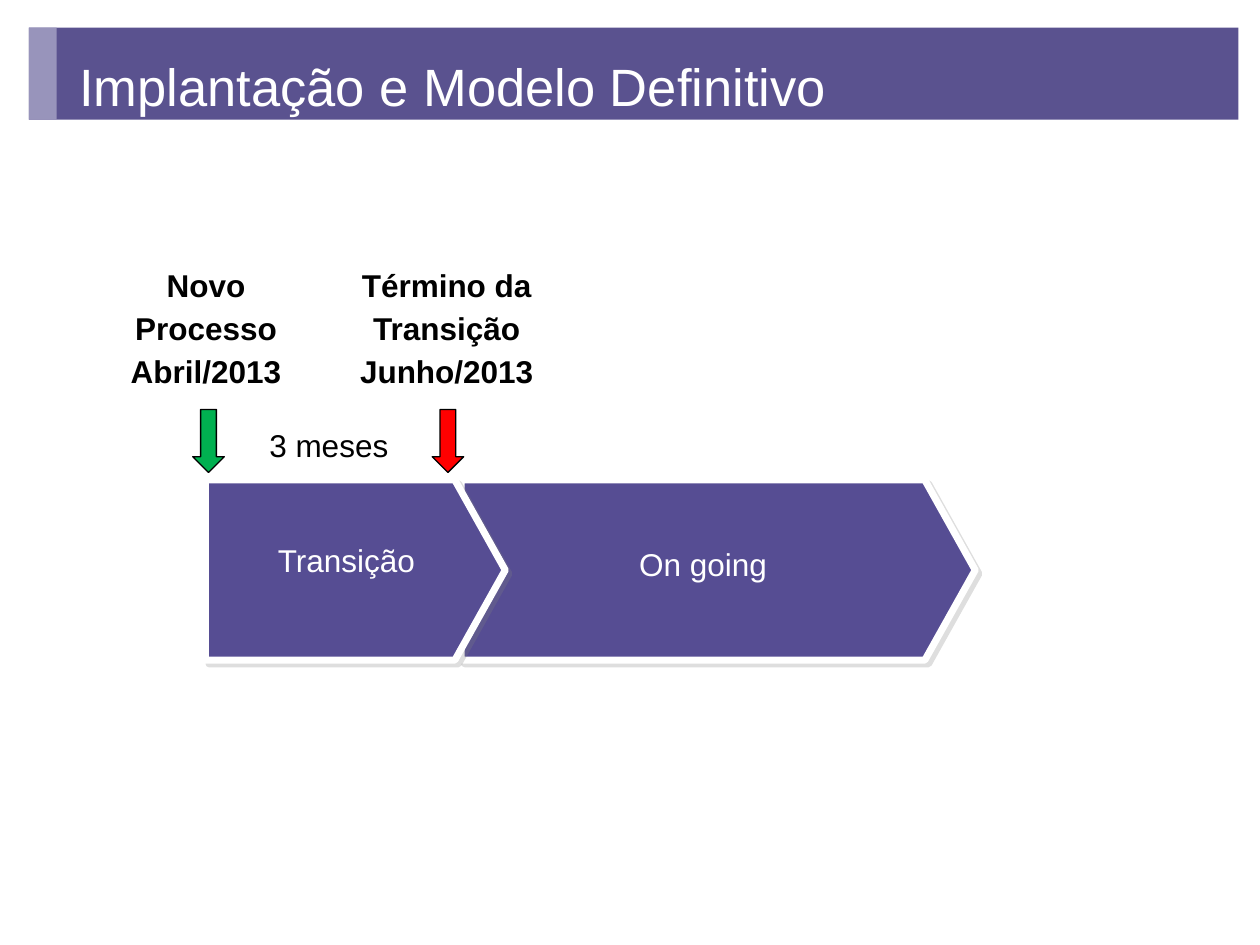
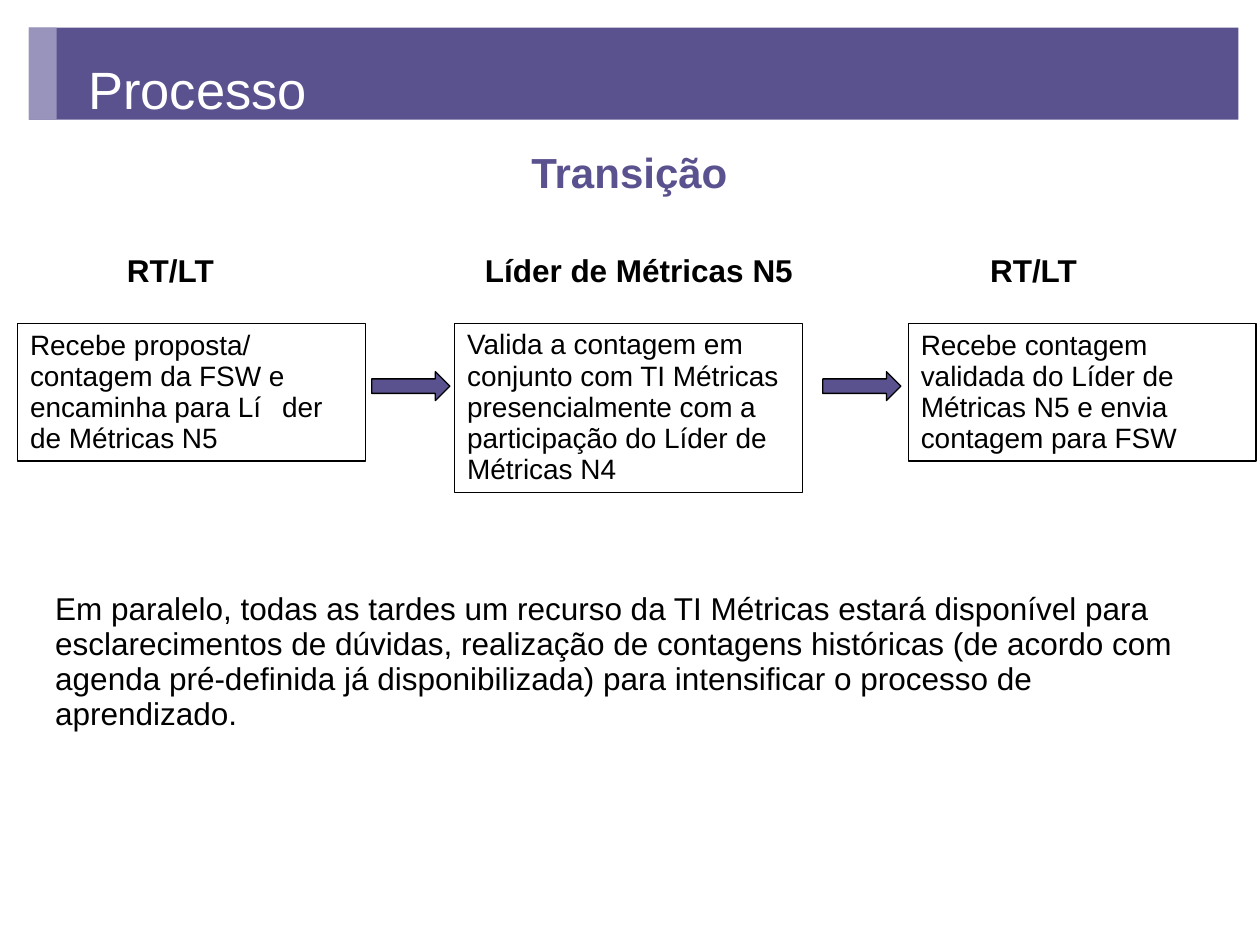
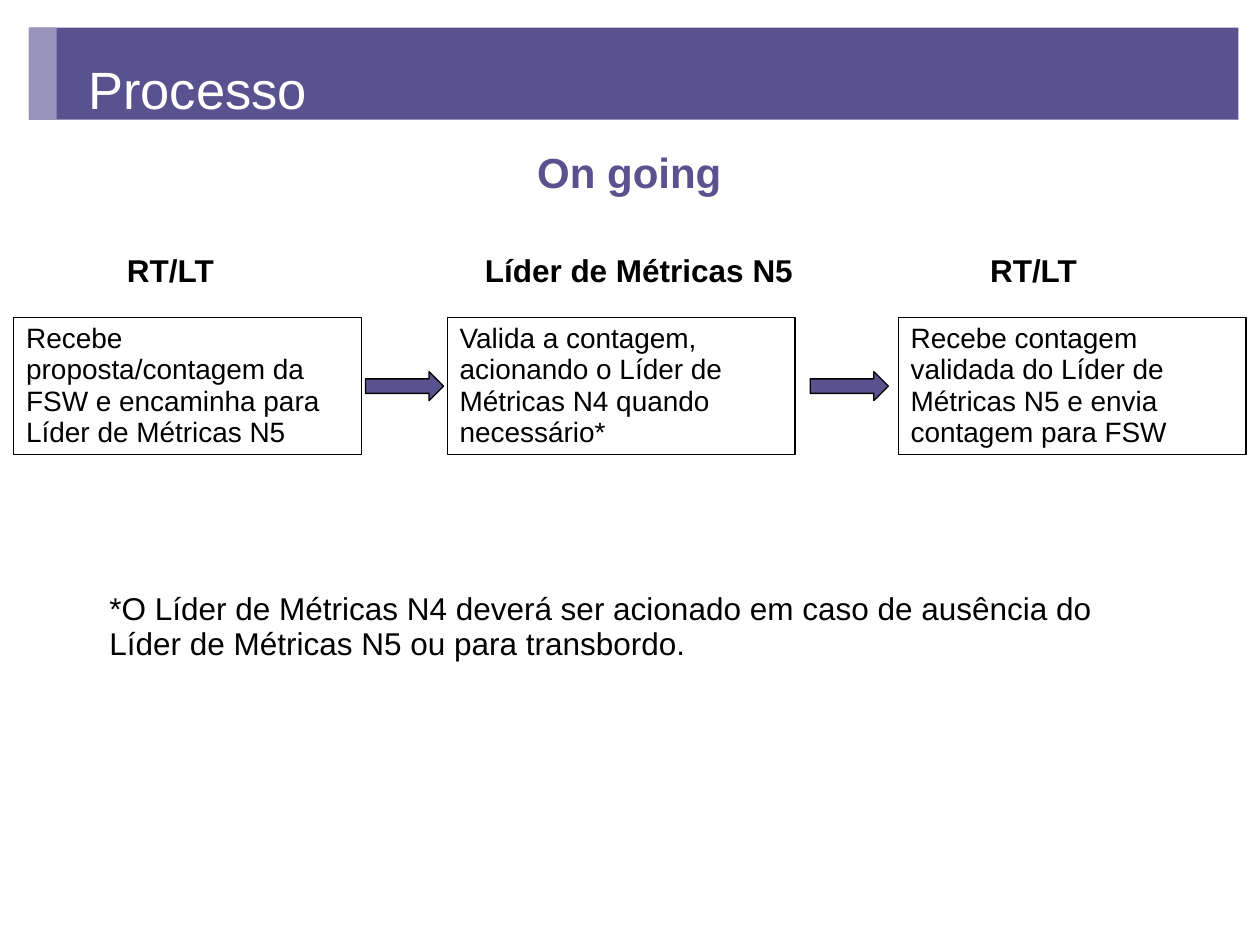
from lxml.etree import SubElement
from pptx import Presentation
from pptx.dml.color import RGBColor
from pptx.enum.shapes import MSO_SHAPE as Geo
from pptx.enum.text import MSO_ANCHOR as Anchor, MSO_AUTO_SIZE as Fit, PP_ALIGN as Align
from pptx.oxml.ns import qn
from pptx.util import Inches, Pt

FONT = "Arial"
PURPLE, LILAC, PLATE = "5A528F", "9894BB", "564D93"
WHITE, BLACK, RED, GREEN, GRAY = "FFFFFF", "000000", "FF0000", "00B050", "808080"
BAND = (0.23, 0.22, 9.6, 0.73)
ROLES = [(0.91, 0.93, "RT/LT"), (3.75, 2.74, "Líder de Métricas N5"), (7.76, 0.93, "RT/LT")]
CARD_W = 2.76


def rgb(code):
    """Turn a hex string into a colour."""
    return RGBColor.from_string(code)


def paint(shape, fill=None, line=None, width=0.75):
    """Set fill and line of a shape and drop its shadow."""
    shape.shadow.inherit = False
    if fill:
        shape.fill.solid()
        shape.fill.fore_color.rgb = rgb(fill)
    else:
        shape.fill.background()
    if line:
        shape.line.color.rgb = rgb(line)
        shape.line.width = Pt(width)
    else:
        shape.line.fill.background()


def write(shape, text, size, color=BLACK, bold=False, align=Align.LEFT, ratio=0.93):
    """Put styled text at the top of a shape."""
    frame = shape.text_frame
    frame.text = text
    frame.word_wrap = True
    frame.auto_size = Fit.NONE
    frame.vertical_anchor = Anchor.TOP
    for num, para in enumerate(frame.paragraphs):
        para.alignment = align
        para.line_spacing = ratio
        if num:
            para.space_before = Pt(4.5)
        if "\t" in para.text:
            tabs = SubElement(para._p.get_or_add_pPr(), qn("a:tabLst"))
            SubElement(tabs, qn("a:tab"), pos=str(Inches(2)), algn="l")
        for run in para.runs:
            run.font.name = FONT
            run.font.size = Pt(size)
            run.font.bold = bold
            run.font.color.rgb = rgb(color)


def draw(slide, kind, box, fill=None, line=None):
    """Add a preset shape."""
    shape = slide.shapes.add_shape(kind, *map(Inches, box))
    paint(shape, fill, line)
    return shape


def label(slide, box, text, size=18, **style):
    """Add a text box."""
    write(slide.shapes.add_textbox(*map(Inches, box)), text, size, **style)


def start(deck, text, box):
    """Add a slide with the title band."""
    slide = deck.slides.add_slide(deck.slide_layouts[5])
    left, top, _, height = BAND
    draw(slide, Geo.RECTANGLE, BAND, PURPLE)
    draw(slide, Geo.RECTANGLE, (left, top, 0.22, height), LILAC)
    title = slide.shapes.title
    title.left, title.top, title.width, title.height = map(Inches, box)
    write(title, text, 30, WHITE, ratio=1.0)
    slide.shapes._spTree.append(title._element)
    return slide


def plate(slide, box, tip=0.4):
    """Draw a pointed phase bar with a white edge and a soft shadow."""
    left, top, width, height = box
    right, base = left + width, top + height
    pts = [(right - tip, top), (right, top + height / 2), (right - tip, base), (left, base)]
    pen = slide.shapes.build_freeform(Inches(left), Inches(top))
    pen.add_line_segments([(Inches(x), Inches(y)) for x, y in pts], close=True)
    shape = pen.convert_to_shape()
    paint(shape, PLATE, WHITE, 4)
    effect = shape._element.spPr.find(qn("a:effectLst"))
    shade = SubElement(effect, qn("a:outerShdw"), dist=str(Pt(3)), dir="2700000",
                       algn="ctr", rotWithShape="0")
    tone = SubElement(shade, qn("a:srgbClr"), val=GRAY)
    SubElement(tone, qn("a:alpha"), val="25000")


def phases(deck):
    """Build the timeline slide."""
    slide = start(deck, "Implantação e Modelo Definitivo", (0.53, 0.38, 8.91, 0.6))
    top, height = 3.81, 1.43
    plate(slide, (3.66, top, 4.08, height))
    plate(slide, (1.63, top, 2.38, height))
    mid = Align.CENTER
    label(slide, (1.56, top + 0.46, 2.38, 0.38), "Transição", color=WHITE, align=mid)
    label(slide, (4.78, top + 0.49, 1.6, 0.38), "On going", color=WHITE, align=mid)
    label(slide, (1.78, top - 0.45, 1.66, 0.38), "3 meses", align=mid)
    marks = [
        (2.07, 2.95, "Término da\nTransição\nJunho/2013", 3.43, RED),
        (0.42, 2.43, "Novo\nProcesso\nAbril/2013", 1.53, GREEN),
    ]
    for left, width, text, tip, color in marks:
        label(slide, (left, top - 1.72, width, 1.07), text, bold=True, align=mid)
        draw(slide, Geo.DOWN_ARROW, (tip, top - 0.56, 0.25, 0.5), color, BLACK)


def flow(deck, stage, top, cards, arrows, note, spot):
    """Build a process slide with three steps and a note."""
    slide = start(deck, "Processo", (0.6, 0.4, 8.25, 0.6))
    label(slide, (0.27, 1.15, 9.45, 0.47), stage, 24, color=PURPLE, bold=True,
          align=Align.CENTER)
    for left, width, text in ROLES:
        label(slide, (left, 1.97, width, 0.38), text, bold=True)
    for left, height, text in cards:
        card = draw(slide, Geo.RECTANGLE, (left, top, CARD_W, height), line=BLACK)
        write(card, text, 16)
    for left in arrows:
        draw(slide, Geo.RIGHT_ARROW, (left, 2.95, 0.62, 0.23), PURPLE, BLACK)
    label(slide, spot, note)


def main():
    """Build and save the deck."""
    deck = Presentation()
    deck.slide_width, deck.slide_height = Inches(10), Inches(7.5)
    last = "Recebe contagem validada do Líder de Métricas N5 e envia contagem para FSW"
    phases(deck)
    flow(
        deck, "Transição", 2.57,
        [
            (0.14, 1.09, "Recebe proposta/ contagem da FSW e encaminha para "
                         "Lí\tder de Métricas N5"),
            (3.61, 1.34, "Valida a contagem em conjunto com TI Métricas presencialmente "
                         "com a participação do Líder de Métricas N4"),
            (7.21, 1.09, last),
        ],
        (2.95, 6.53),
        "Em paralelo, todas as tardes um recurso da TI Métricas estará disponível para "
        "esclarecimentos de dúvidas, realização de contagens históricas (de acordo com "
        "agenda pré-definida já disponibilizada) para intensificar o processo de "
        "aprendizado.",
        (0.34, 4.65, 9.1, 1.22),
    )
    flow(
        deck, "On going", 2.52,
        [
            (0.11, 1.09, "Recebe proposta/contagem da FSW e encaminha para "
                         "Líder de Métricas N5"),
            (3.55, 1.09, "Valida a contagem, acionando o Líder de Métricas N4 "
                         "quando necessário*"),
            (7.13, 1.09, last),
        ],
        (2.9, 6.43),
        "*O Líder de Métricas N4 deverá ser acionado em caso de ausência do "
        "Líder de Métricas N5 ou para transbordo.",
        (0.77, 4.65, 8.44, 0.66),
    )
    deck.save("out.pptx")


if __name__ == "__main__":
    main()
